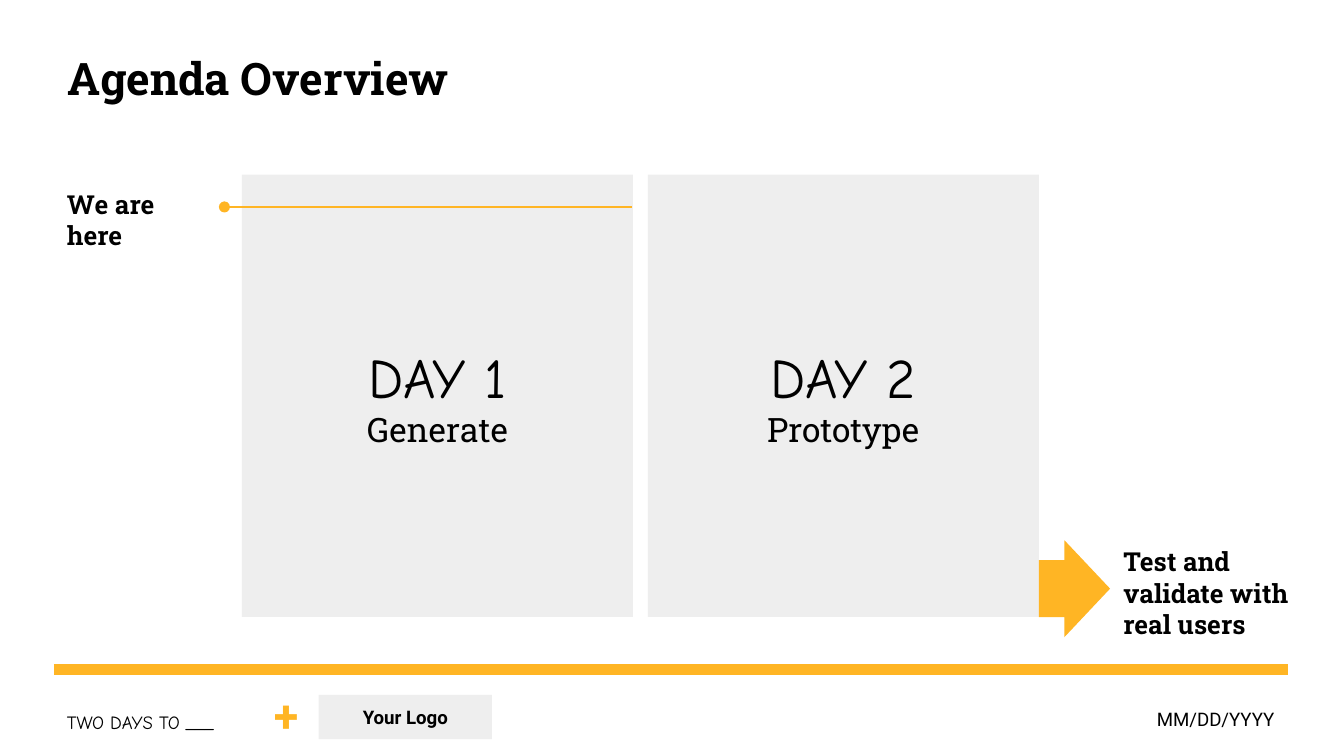
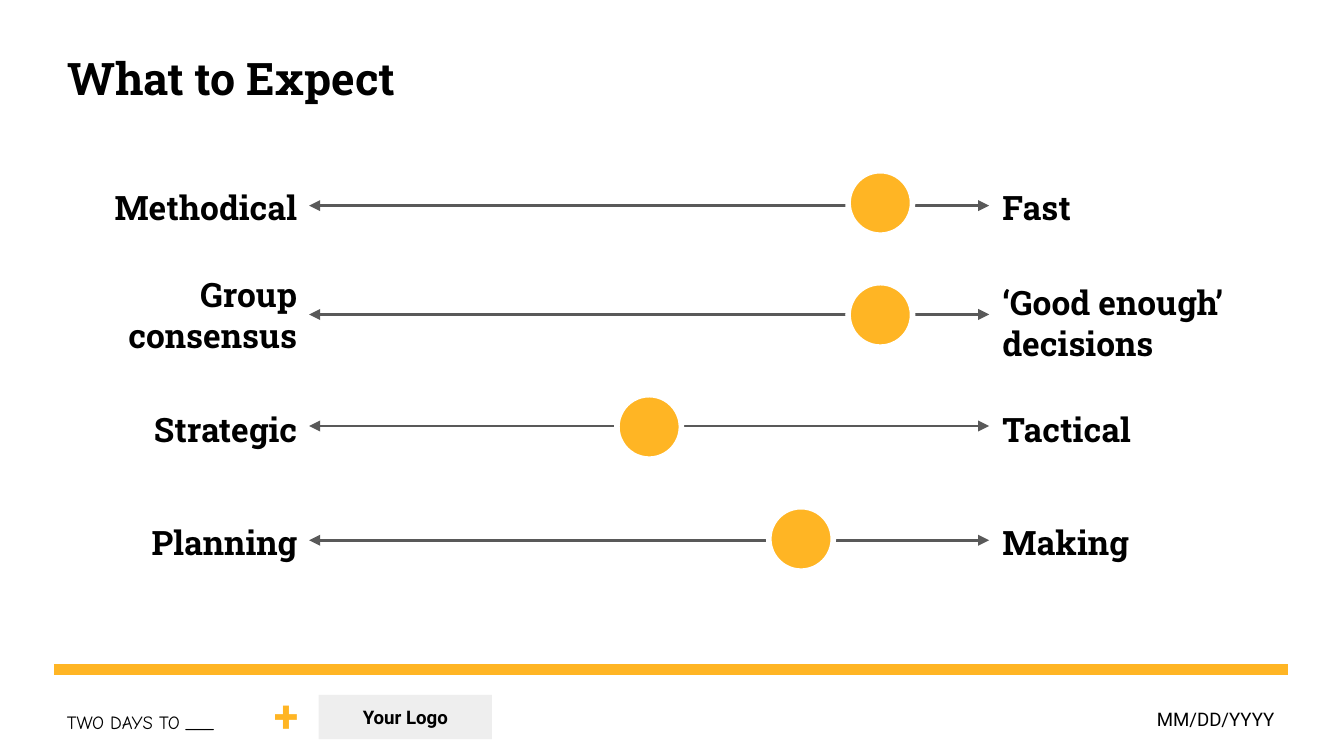
import pptx
import pptx.dml.color
import pptx.enum.shapes
import pptx.enum.text
import pptx.oxml
import pptx.oxml.ns
import pptx.util
from pptx.util import Inches

RGBColor = pptx.dml.color.RGBColor
ORANGE = RGBColor(0xFF, 0xB5, 0x24)
PALE_GRAY = RGBColor(0xEE, 0xEE, 0xEE)
DARK_GRAY = RGBColor(0x59, 0x59, 0x59)
BLACK = RGBColor(0, 0, 0)
WHITE = RGBColor(0xFF, 0xFF, 0xFF)

SLAB, SANS, HAND = "Roboto Slab", "Roboto", "Comic Neue"
SHAPE = pptx.enum.shapes.MSO_SHAPE
ALIGN = pptx.enum.text.PP_ALIGN
ANCHOR = pptx.enum.text.MSO_ANCHOR

SLIDE_WIDTH = 10
SLIDE_HEIGHT = SLIDE_WIDTH * 9 / 16
MARGIN = 0.4
RIGHT_EDGE = 9.58

DAYS = [("DAY 1", "Generate"), ("DAY 2", "Prototype")]
DAY_LEFT, DAY_TOP, DAY_WIDTH, DAY_HEIGHT, DAY_GAP = 1.8, 1.3, 2.91, 3.29, 0.11

# left label, its box (top, height), right label, its box, line height, marker left
SCALES = [
    ("Methodical", (1.29, 0.48), "Fast", (1.29, 0.48), 1.53, 6.31),
    ("Group\nconsensus", (1.94, 0.79), "‘Good enough’ decisions", (2, 0.73), 2.34, 6.31),
    ("Strategic", (2.94, 0.48), "Tactical", (2.94, 0.48), 3.17, 4.59),
    ("Planning", (3.78, 0.48), "Making", (3.78, 0.48), 4.02, 5.72),
]
SCALE_LEFT, SCALE_RIGHT, LABEL_WIDTH = 2.3, 7.36, 1.91
MARKER_SIZE, FIRST_MARKER_TOP, LAST_MARKER_TOP = 0.48, 1.27, 3.77


def format_paragraph(paragraph, size, font, color=BLACK, bold=False, align=ALIGN.LEFT):
    paragraph.alignment = align
    for run in paragraph.runs:
        run.font.size = pptx.util.Pt(size)
        run.font.name = font
        run.font.bold = bold
        run.font.color.rgb = color


def prepare_frame(frame, anchor):
    frame.word_wrap = True
    frame.auto_size = pptx.enum.text.MSO_AUTO_SIZE.NONE
    frame.vertical_anchor = anchor
    frame.margin_left = frame.margin_right = Inches(0.1)
    frame.margin_top = frame.margin_bottom = Inches(0.1)


def add_text(slide, text, box, size, font, **style):
    frame = slide.shapes.add_textbox(*map(Inches, box)).text_frame
    prepare_frame(frame, ANCHOR.TOP)
    frame.text = text
    for paragraph in frame.paragraphs:
        format_paragraph(paragraph, size, font, **style)


def add_filled_shape(slide, kind, box, color):
    shape = slide.shapes.add_shape(kind, *map(Inches, box))
    shape.shadow.inherit = False
    shape.fill.solid()
    shape.fill.fore_color.rgb = color
    shape.line.fill.background()
    return shape


def add_panel(slide, box, lines):
    """Add a gray box with one centred paragraph per (text, size, font, bold)."""
    frame = add_filled_shape(slide, SHAPE.RECTANGLE, box, PALE_GRAY).text_frame
    prepare_frame(frame, ANCHOR.MIDDLE)
    frame.text = "\n".join(line[0] for line in lines)
    for paragraph, (_, size, font, bold) in zip(frame.paragraphs, lines):
        format_paragraph(paragraph, size, font, bold=bold, align=ALIGN.CENTER)


def add_line(slide, left, right, y, color, width, head=None, tail=None):
    connector = slide.shapes.add_connector(
        pptx.enum.shapes.MSO_CONNECTOR.STRAIGHT,
        Inches(left), Inches(y), Inches(right), Inches(y))
    connector.line.color.rgb = color
    connector.line.width = pptx.util.Pt(width)
    outline = connector.line._get_or_add_ln()
    for tag, end in (("a:headEnd", head), ("a:tailEnd", tail)):
        if end:
            element = pptx.oxml.parse_xml(f"<{tag} {pptx.oxml.ns.nsdecls('a')}/>")
            element.set("type", end)
            outline.append(element)
    connector._element.spPr.append(
        pptx.oxml.parse_xml(f"<a:effectLst {pptx.oxml.ns.nsdecls('a')}/>"))


def add_slide(presentation, title_text):
    """Add a slide with the shared title and footer."""
    slide = presentation.slides.add_slide(presentation.slide_layouts[5])
    title = slide.shapes.title
    title.left, title.top = Inches(MARGIN), Inches(0.28)
    title.width, title.height = Inches(3.52), Inches(0.63)
    prepare_frame(title.text_frame, ANCHOR.TOP)
    title.text_frame.text = title_text
    format_paragraph(title.text_frame.paragraphs[0], 24, SLAB, bold=True)

    add_line(slide, MARGIN, RIGHT_EDGE, 4.98, ORANGE, 6)
    add_text(slide, "TWO DAYS TO ___", (MARGIN, 5.19, 1.54, 0.32), 10, HAND)
    add_text(slide, "+", (1.94, 5.02, 0.39, 0.48), 24, SANS, color=ORANGE, bold=True)
    add_panel(slide, (2.37, 5.17, 1.29, 0.33), [("Your Logo", 10, SANS, True)])
    add_text(slide, "MM/DD/YYYY", (7.97, 5.17, 1.61, 0.33), 10, SANS, align=ALIGN.RIGHT)
    return slide


def build_agenda(presentation):
    slide = add_slide(presentation, "Agenda Overview")
    for index, (day, activity) in enumerate(DAYS):
        left = DAY_LEFT + index * (DAY_WIDTH + DAY_GAP)
        add_panel(slide, (left, DAY_TOP, DAY_WIDTH, DAY_HEIGHT),
                  [(day, 30, HAND, False), (activity, 18, SLAB, False)])

    add_text(slide, "We are here", (MARGIN, DAY_TOP, 1.29, 0.48), 14, SLAB, bold=True)
    add_line(slide, 1.67, 4.7, 1.54, ORANGE, 0.75, head="oval")

    arrow = add_filled_shape(slide, SHAPE.RIGHT_ARROW, (7.73, 4.02, 0.53, 0.72), ORANGE)
    arrow.adjustments[0], arrow.adjustments[1] = 0.59, 0.64
    add_text(slide, "Test and validate with real users", (8.26, 3.96, 1.61, 0.48),
             14, SLAB, bold=True)


def build_expectations(presentation):
    slide = add_slide(presentation, "What to Expect")
    marker_step = (LAST_MARKER_TOP - FIRST_MARKER_TOP) / (len(SCALES) - 1)
    for index, scale in enumerate(SCALES):
        left_label, left_box, right_label, right_box, line_y, marker_left = scale
        add_line(slide, SCALE_LEFT, SCALE_RIGHT, line_y, DARK_GRAY, 1.5,
                 head="triangle", tail="triangle")
        for text, x, (top, height), align in (
                (left_label, MARGIN, left_box, ALIGN.RIGHT),
                (right_label, SCALE_RIGHT, right_box, ALIGN.LEFT)):
            add_text(slide, text, (x, top, LABEL_WIDTH, height), 18, SLAB,
                     bold=True, align=align)
        marker_top = FIRST_MARKER_TOP + index * marker_step
        marker = add_filled_shape(
            slide, SHAPE.OVAL, (marker_left, marker_top, MARKER_SIZE, MARKER_SIZE), ORANGE)
        marker.line.color.rgb = WHITE
        marker.line.width = pptx.util.Pt(3)


def main():
    presentation = pptx.Presentation()
    presentation.slide_width = Inches(SLIDE_WIDTH)
    presentation.slide_height = Inches(SLIDE_HEIGHT)
    build_agenda(presentation)
    build_expectations(presentation)
    presentation.save("out.pptx")


if __name__ == "__main__":
    main()
